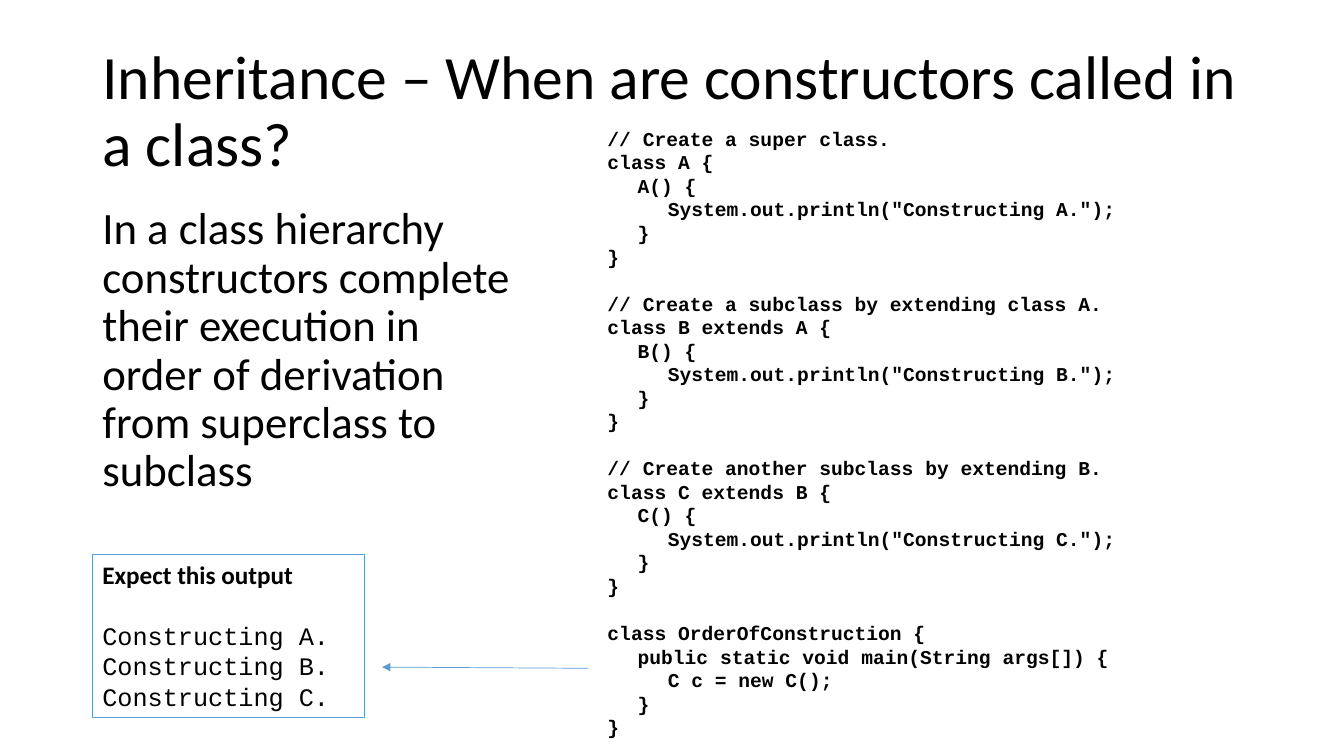
"""Build a slide on the order in which Java constructors are called."""
from lxml import etree
from pptx import Presentation
from pptx.dml.color import RGBColor
from pptx.enum.shapes import MSO_CONNECTOR, MSO_SHAPE
from pptx.enum.text import MSO_ANCHOR, MSO_AUTO_SIZE, PP_ALIGN
from pptx.oxml.ns import qn
from pptx.util import Cm, Pt

TOP, MIDDLE = MSO_ANCHOR.TOP, MSO_ANCHOR.MIDDLE
LEFT, NO_AUTOFIT = PP_ALIGN.LEFT, MSO_AUTO_SIZE.NONE
RECTANGLE, STRAIGHT = MSO_SHAPE.RECTANGLE, MSO_CONNECTOR.STRAIGHT
BLACK, BLUE = "000000", "5B9BD5"
MARGIN = Cm(2.33)
INDENT = Cm(0.76)


def color(hex_string):
    return RGBColor.from_string(hex_string)


def add_text(shape, text, size, font="Calibri", bold=False, spacing=1.0, before=0, level=0):
    frame = shape.text_frame
    paragraph = frame.add_paragraph() if frame.text else frame.paragraphs[0]
    paragraph.alignment = LEFT
    paragraph.line_spacing = spacing
    paragraph.space_before = Pt(before)
    properties = paragraph._p.get_or_add_pPr()
    properties.set("marL", str(level * INDENT))
    properties.set("indent", "0")
    run = paragraph.add_run()
    run.text = text
    run.font.name = font
    run.font.size = Pt(size)
    run.font.bold = bold
    run.font.color.rgb = color(BLACK)


presentation = Presentation()
presentation.slide_width, presentation.slide_height = Cm(33.87), Cm(19.05)
slide = presentation.slides.add_slide(presentation.slide_layouts[5])

title = slide.shapes.title
title.left, title.top, title.width, title.height = MARGIN, Cm(1.01), Cm(29.21), Cm(3.68)
explanation = slide.shapes.add_textbox(MARGIN, Cm(5.07), Cm(11.28), Cm(12.09))
code = slide.shapes.add_textbox(Cm(15.06), Cm(3.07), Cm(17.5), Cm(15.19))
output = slide.shapes.add_shape(RECTANGLE, MARGIN, Cm(13.97), Cm(6.86), Cm(4.12))
output.shadow.inherit = False
output.fill.background()
output.line.color.rgb = color(BLUE)
output.line.width = Pt(0.75)

for shape, anchor in ((title, MIDDLE), (explanation, TOP), (code, TOP), (output, TOP)):
    shape.text_frame.word_wrap = True
    shape.text_frame.auto_size = NO_AUTOFIT
    shape.text_frame.vertical_anchor = anchor

add_text(title, "Inheritance – When are constructors called in a class?", 44, spacing=0.9)
add_text(
    explanation,
    "In a class hierarchy constructors complete their execution in order of "
    "derivation from superclass to subclass",
    32, spacing=0.9, before=10,
)

classes = [
    ("A", "", "// Create a super class."),
    ("B", " extends A", "// Create a subclass by extending class A."),
    ("C", " extends B", "// Create another subclass by extending B."),
]
blocks = [
    [
        (0, comment),
        (0, f"class {name}{parent} {{"),
        (1, f"{name}() {{"),
        (2, f'System.out.println("Constructing {name}.");'),
        (1, "}"),
        (0, "}"),
    ]
    for name, parent, comment in classes
]
blocks.append([
    (0, "class OrderOfConstruction {"),
    (1, "public static void main(String args[]) {"),
    (2, "C c = new C();"),
    (1, "}"),
    (0, "}"),
])
for block_number, block in enumerate(blocks):
    for line_number, (level, line) in enumerate(block):
        gap = 16.8 if block_number and not line_number else 0
        add_text(code, line, 14, font="Courier New", bold=True, before=gap, level=level)

add_text(output, "Expect this output", 18, bold=True)
for name, parent, comment in classes:
    gap = 0 if parent else 22
    add_text(output, f"Constructing {name}.", 18, font="Courier New", before=gap)

arrow = slide.shapes.add_connector(STRAIGHT, Cm(14.83), Cm(16.84), Cm(9.63), Cm(16.81))
arrow.line.color.rgb = color(BLUE)
arrow.line.width = Pt(0.5)
etree.SubElement(arrow.line._get_or_add_ln(), qn("a:tailEnd"), type="triangle")
etree.SubElement(arrow._element.spPr, qn("a:effectLst"))

presentation.save("out.pptx")
